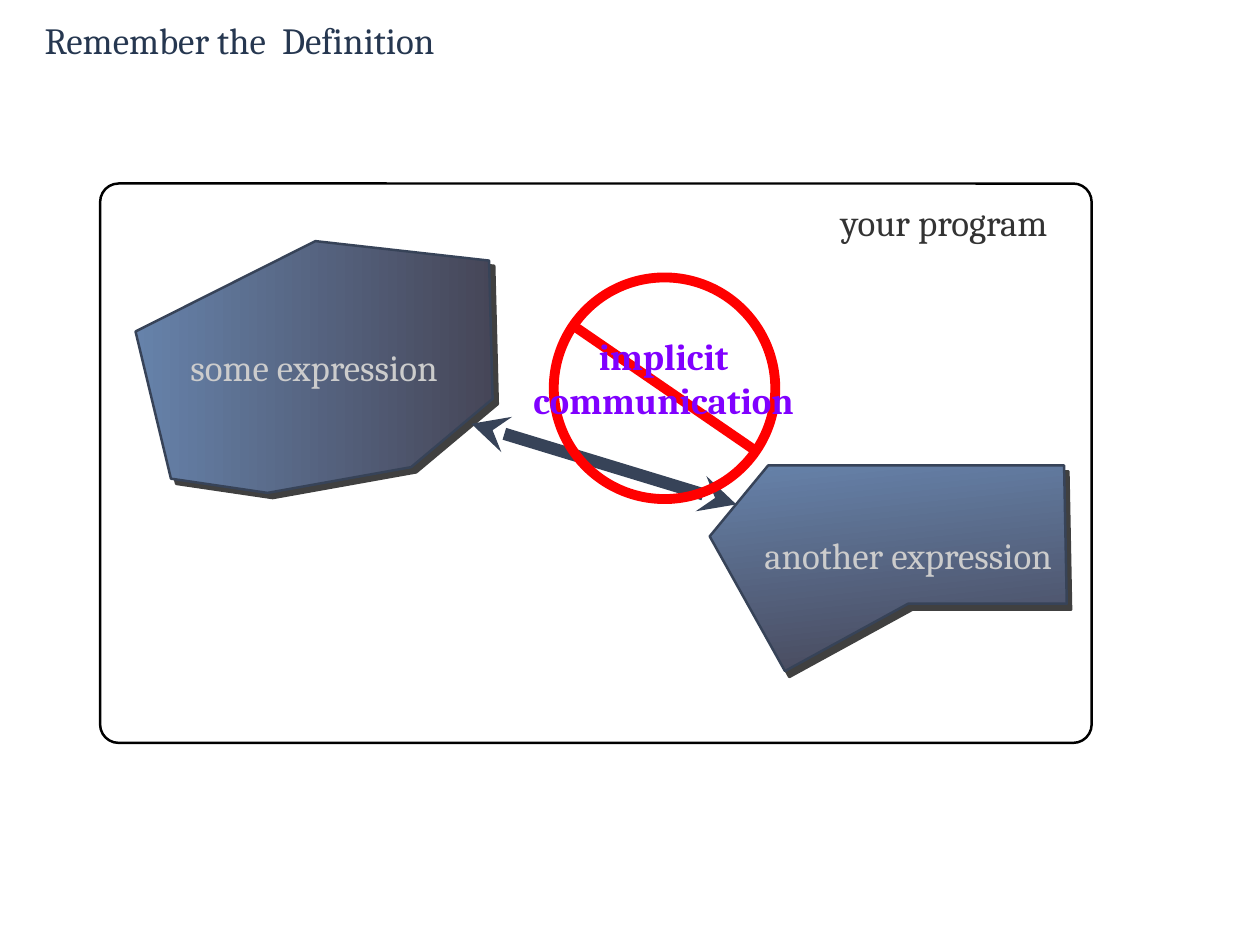
import pptx
import pptx.util
import pptx.dml.color
import pptx.enum.dml
import pptx.enum.shapes
import pptx.enum.text
import pptx.oxml
import pptx.oxml.ns

COLORS = {
    "dark": "464658", "blue": "6682AA", "edge": "374358", "pale": "CCCCCC",
    "gray": "333333", "navy": "263750", "red": "FF0000", "black": "000000",
    "violet": "8000FF",
}
FONT = "Cambria"
SIZE = 30

TITLE = ("Remember the  Definition", (0.17, 0.11, 5.07, 0.67))
BLOBS = [
    {
        "points": [(1.53, 3.74), (3.56, 2.72), (5.52, 2.94), (5.56, 4.5),
                   (4.64, 5.27), (3.02, 5.56), (1.93, 5.4)],
        "angle": 180, "shade": 45,
        "label": "some expression", "box": (2.02, 3.89, 3.05, 0.5),
    },
    {
        "points": [(8.01, 6.05), (8.67, 5.25), (12.01, 5.25), (12.04, 6.81),
                   (10.25, 6.81), (8.86, 7.57)],
        "angle": 96, "shade": 54,
        "label": "another expression", "box": (8.5, 6.01, 3.5, 0.5),
    },
]
FRAME = (1.13, 2.07, 11.19, 6.31)
OWNER = ("your program", (9.36, 2.25, 2.59, 0.5))
ARROW = (5.32, 4.78, 8.31, 5.69)
SLASH = (6.48, 3.68, 8.55, 5.1)
RING = (6.25, 3.13, 2.5, 2.5)
BAN = (["implicit", "communication"], (6.01, 3.76, 2.96, 1))

KIND = pptx.enum.shapes.MSO_SHAPE


def inches(values):
    return [pptx.util.Inches(value) for value in values]


def color(name):
    return pptx.dml.color.RGBColor.from_string(COLORS[name])


def child(parent, tag, **attrs):
    node = pptx.oxml.parse_xml(f"<a:{tag} {pptx.oxml.ns.nsdecls('a')}/>")
    for key, value in attrs.items():
        node.set(key, str(value))
    parent.append(node)
    return node


def stroke(shape, name, width):
    shape.line.color.rgb = color(name)
    shape.line.width = pptx.util.Pt(width)


def write(shape, lines, name, bold=False, wrap=False):
    frame = shape.text_frame
    frame.word_wrap = wrap
    frame.auto_size = pptx.enum.text.MSO_AUTO_SIZE.NONE
    frame.vertical_anchor = pptx.enum.text.MSO_ANCHOR.MIDDLE
    frame.margin_left = frame.margin_right = 0
    frame.margin_top = frame.margin_bottom = 0
    for index, line in enumerate(lines):
        para = frame.add_paragraph() if index else frame.paragraphs[0]
        para.alignment = pptx.enum.text.PP_ALIGN.CENTER
        run = para.add_run()
        run.text = line
        run.font.name = FONT
        run.font.size = pptx.util.Pt(SIZE)
        run.font.bold = bold
        run.font.color.rgb = color(name)


def label(shapes, lines, box, name, bold=False):
    write(shapes.add_textbox(*inches(box)), lines, name, bold)


def outline(shapes, kind, box, name, width):
    shape = shapes.add_shape(kind, *inches(box))
    shape.shadow.inherit = False
    shape.fill.background()
    stroke(shape, name, width)
    return shape


def draw_line(shapes, ends, name, width):
    line = shapes.add_connector(
        pptx.enum.shapes.MSO_CONNECTOR.STRAIGHT, *inches(ends))
    stroke(line, name, width)
    child(line._element.spPr, "effectLst")
    return line


def draw_blob(shapes, blob):
    first, *rest = [inches(point) for point in blob["points"]]
    maker = shapes.build_freeform(*first)
    maker.add_line_segments(rest, close=True)
    shape = maker.convert_to_shape()
    shape.fill.gradient()
    shape.fill.gradient_angle = blob["angle"]
    for stop, name in zip(shape.fill.gradient_stops, ("dark", "blue")):
        stop.color.rgb = color(name)
    stroke(shape, "edge", 2)
    shape.shadow.inherit = False
    effects = shape._element.spPr.find(pptx.oxml.ns.qn("a:effectLst"))
    shadow = child(effects, "outerShdw", blurRad=0, dist=pptx.util.Pt(6),
                   dir=blob["shade"] * 60000, algn="ctr", rotWithShape=0)
    tint = child(shadow, "srgbClr", val=COLORS["black"])
    child(tint, "alpha", val=75000)
    label(shapes, [blob["label"]], blob["box"], "pale")


def main():
    deck = pptx.Presentation()
    deck.slide_width, deck.slide_height = inches((14.22, 10.66))
    slide = deck.slides.add_slide(deck.slide_layouts[5])
    shapes = slide.shapes

    text, box = TITLE
    title = shapes.title
    title.left, title.top, title.width, title.height = inches(box)
    write(title, [text], "navy", wrap=True)

    for blob in BLOBS:
        draw_blob(shapes, blob)

    frame = outline(shapes, KIND.ROUNDED_RECTANGLE, FRAME, "black", 2)
    frame.adjustments[0] = 0.033

    arrow = draw_line(shapes, ARROW, "edge", 10)
    for tag in ("headEnd", "tailEnd"):
        child(arrow.line._get_or_add_ln(), tag, type="stealth")

    text, box = OWNER
    label(shapes, [text], box, "gray")

    group = shapes.add_group_shape().shapes
    draw_line(group, SLASH, "red", 8)
    outline(group, KIND.OVAL, RING, "red", 8)
    lines, box = BAN
    label(group, lines, box, "violet", bold=True)

    deck.save("out.pptx")


if __name__ == "__main__":
    main()
